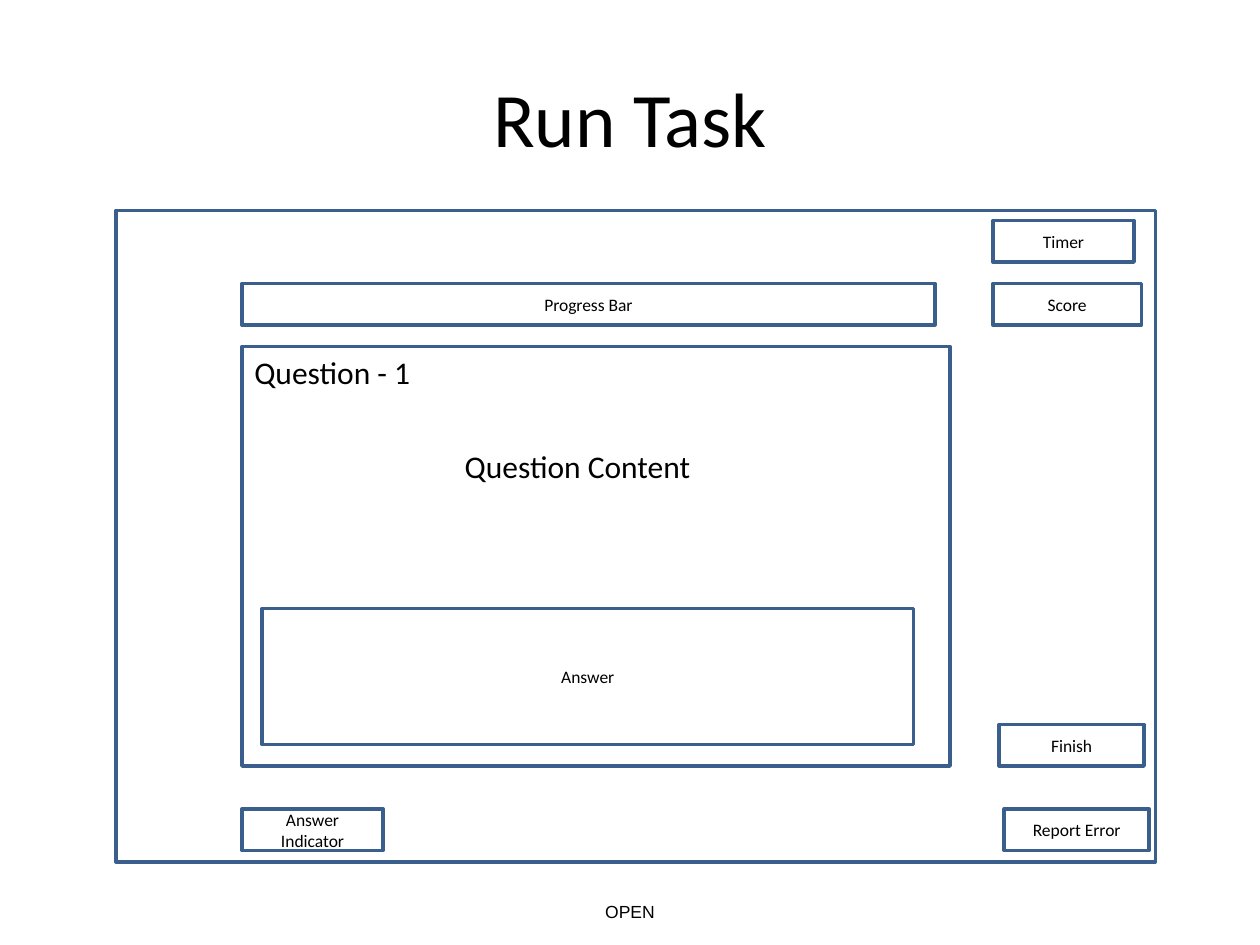
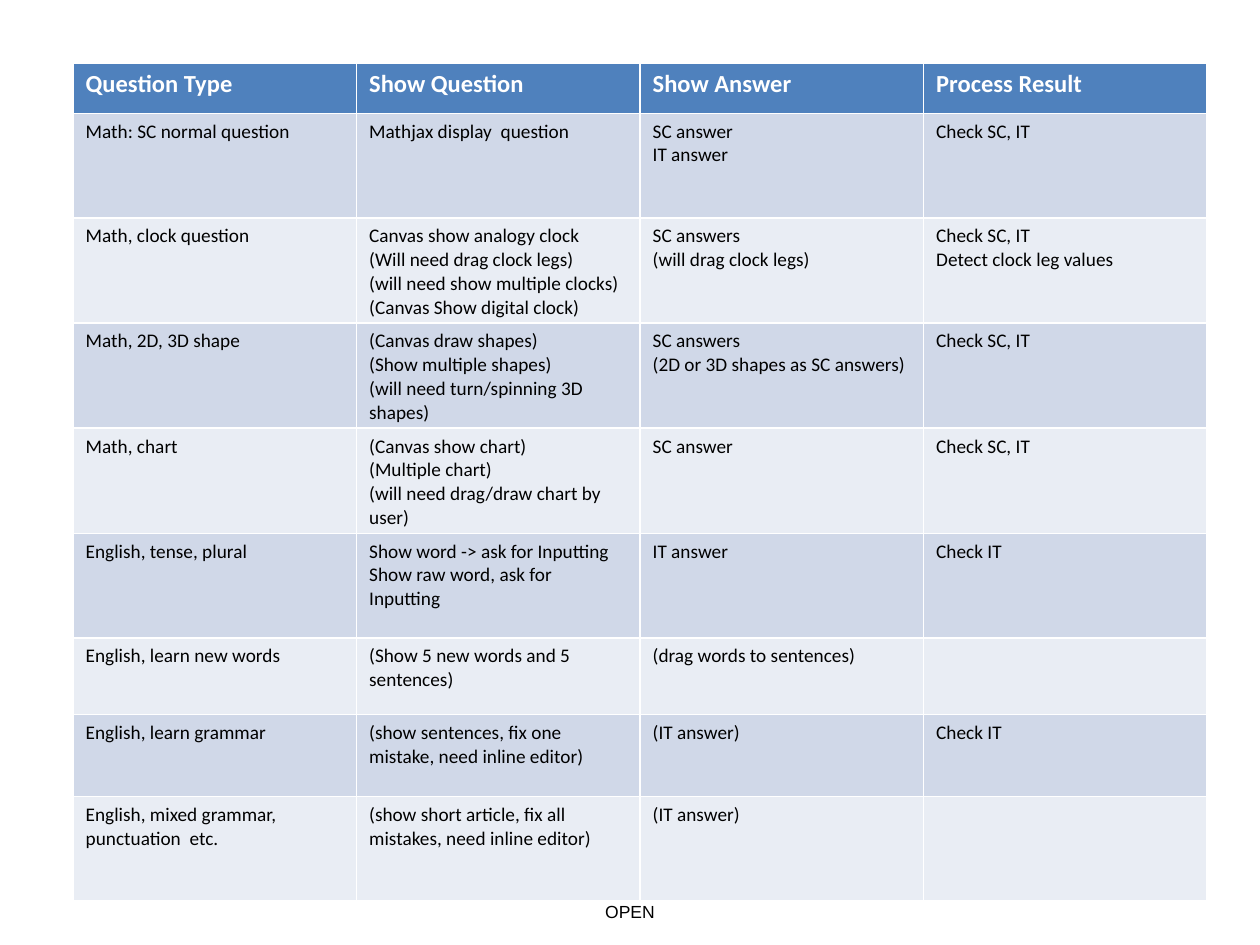
from dataclasses import dataclass

from pptx import Presentation
from pptx.dml.color import RGBColor
from pptx.enum.shapes import MSO_SHAPE
from pptx.enum.text import MSO_ANCHOR, PP_ALIGN
from pptx.slide import Slide
from pptx.text.text import TextFrame
from pptx.util import Inches, Pt

BLACK = RGBColor(0x00, 0x00, 0x00)
WHITE = RGBColor(0xFF, 0xFF, 0xFF)
EDGE = RGBColor(0x3A, 0x5F, 0x8C)
HEAD = RGBColor(0x4F, 0x81, 0xBD)
BANDS = (RGBColor(0xD0, 0xD8, 0xE8), RGBColor(0xE9, 0xED, 0xF4))
FACE = "Calibri"

LEFT = 1.92
SIDE = 7.88
BAR = 0.33


@dataclass
class Box:
    left: float
    top: float
    width: float
    height: float = BAR
    text: str = ""


@dataclass
class Style:
    size: int
    color: RGBColor = BLACK
    bold: bool = False
    align: PP_ALIGN = PP_ALIGN.LEFT
    face: str = FACE


TITLE = Style(44, align=PP_ALIGN.CENTER)
LABEL = Style(10, align=PP_ALIGN.CENTER)
FOOTER = Style(10, align=PP_ALIGN.CENTER, face="Arial")
NOTE = Style(18)
HEADER = Style(14, WHITE, True)
BODY = Style(11)

PANELS = (
    Box(0.92, 1.67, 8.25, 5.17),
    Box(LEFT, 2.75, 5.62, 3.33),
    Box(2.08, 4.83, 5.17, 1.08, "Answer"),
    Box(SIDE, 2.25, 1.18, text="Score"),
    Box(7.93, 5.75, 1.15, text="Finish"),
    Box(SIDE, 1.75, 1.12, text="Timer"),
    Box(LEFT, 2.25, 5.5, text="Progress Bar"),
    Box(7.97, 6.42, 1.15, text="Report Error"),
    Box(LEFT, 6.42, 1.12, text="Answer Indicator"),
)
NOTES = (
    Box(LEFT, 2.75, 1.68, 0.4, "Question - 1"),
    Box(3.59, 3.5, 2.33, 0.4, "Question Content"),
)
OPEN = Box(0, 7.1, 10, 0.3, "OPEN")

HEIGHTS = (0.4, 0.83, 0.83, 0.83, 0.83, 0.83, 0.61, 0.65, 0.83)
ROWS = (
    ("Question Type", "Show Question", "Show Answer", "Process Result"),
    ("Math: SC normal question", "Mathjax display  question",
     "SC answer\nIT answer", "Check SC, IT"),
    ("Math, clock question",
     "Canvas show analogy clock\n(Will need drag clock legs)\n"
     "(will need show multiple clocks)\n(Canvas Show digital clock)",
     "SC answers\n(will drag clock legs)",
     "Check SC, IT\nDetect clock leg values"),
    ("Math, 2D, 3D shape",
     "(Canvas draw shapes)\n(Show multiple shapes)\n"
     "(will need turn/spinning 3D shapes)",
     "SC answers\n(2D or 3D shapes as SC answers)", "Check SC, IT"),
    ("Math, chart",
     "(Canvas show chart)\n(Multiple chart)\n"
     "(will need drag/draw chart by user)",
     "SC answer", "Check SC, IT"),
    ("English, tense, plural",
     "Show word -> ask for Inputting\nShow raw word, ask for Inputting",
     "IT answer", "Check IT"),
    ("English, learn new words", "(Show 5 new words and 5 sentences)",
     "(drag words to sentences)", ""),
    ("English, learn grammar",
     "(show sentences, fix one mistake, need inline editor)",
     "(IT answer)", "Check IT"),
    ("English, mixed grammar, punctuation  etc.",
     "(show short article, fix all mistakes, need inline editor)",
     "(IT answer)", ""),
)


def place(box: Box) -> tuple:
    return tuple(Inches(n) for n in (box.left, box.top, box.width, box.height))


def write(frame: TextFrame, text: str, style: Style) -> None:
    frame.text = text
    for para in frame.paragraphs:
        para.alignment = style.align
        font = para.font
        font.name = style.face
        font.size = Pt(style.size)
        font.bold = style.bold
        font.color.rgb = style.color


def add_text(slide: Slide, box: Box, style: Style) -> None:
    frame = slide.shapes.add_textbox(*place(box)).text_frame
    frame.word_wrap = True
    write(frame, box.text, style)


def add_panel(slide: Slide, box: Box) -> None:
    panel = slide.shapes.add_shape(MSO_SHAPE.RECTANGLE, *place(box))
    panel.shadow.inherit = False
    panel.fill.background()
    panel.line.color.rgb = EDGE
    panel.line.width = Pt(2)
    if box.text:
        panel.text_frame.vertical_anchor = MSO_ANCHOR.MIDDLE
        write(panel.text_frame, box.text, LABEL)


def add_title(slide: Slide, box: Box) -> None:
    title = slide.shapes.title
    title.left, title.top, title.width, title.height = place(box)
    title.text_frame.vertical_anchor = MSO_ANCHOR.MIDDLE
    write(title.text_frame, box.text, TITLE)


def add_grid(slide: Slide) -> None:
    area = Box(0.58, 0.5, 9, sum(HEIGHTS))
    grid = slide.shapes.add_table(len(ROWS), len(ROWS[0]), *place(area)).table
    for row, high in zip(grid.rows, HEIGHTS):
        row.height = Inches(high)
    for r, texts in enumerate(ROWS):
        for c, text in enumerate(texts):
            cell = grid.cell(r, c)
            cell.fill.solid()
            cell.fill.fore_color.rgb = BANDS[(r - 1) % 2] if r else HEAD
            if text:
                write(cell.text_frame, text, BODY if r else HEADER)


def main() -> None:
    deck = Presentation()
    deck.slide_width, deck.slide_height = Inches(10), Inches(7.5)

    task = deck.slides.add_slide(deck.slide_layouts[5])
    add_text(task, OPEN, FOOTER)
    add_title(task, Box(0.5, 0.3, 9, 1.25, "Run Task"))
    for box in PANELS:
        add_panel(task, box)
    for box in NOTES:
        add_text(task, box, NOTE)

    types = deck.slides.add_slide(deck.slide_layouts[6])
    add_text(types, OPEN, FOOTER)
    add_grid(types)

    deck.save("out.pptx")


if __name__ == "__main__":
    main()
